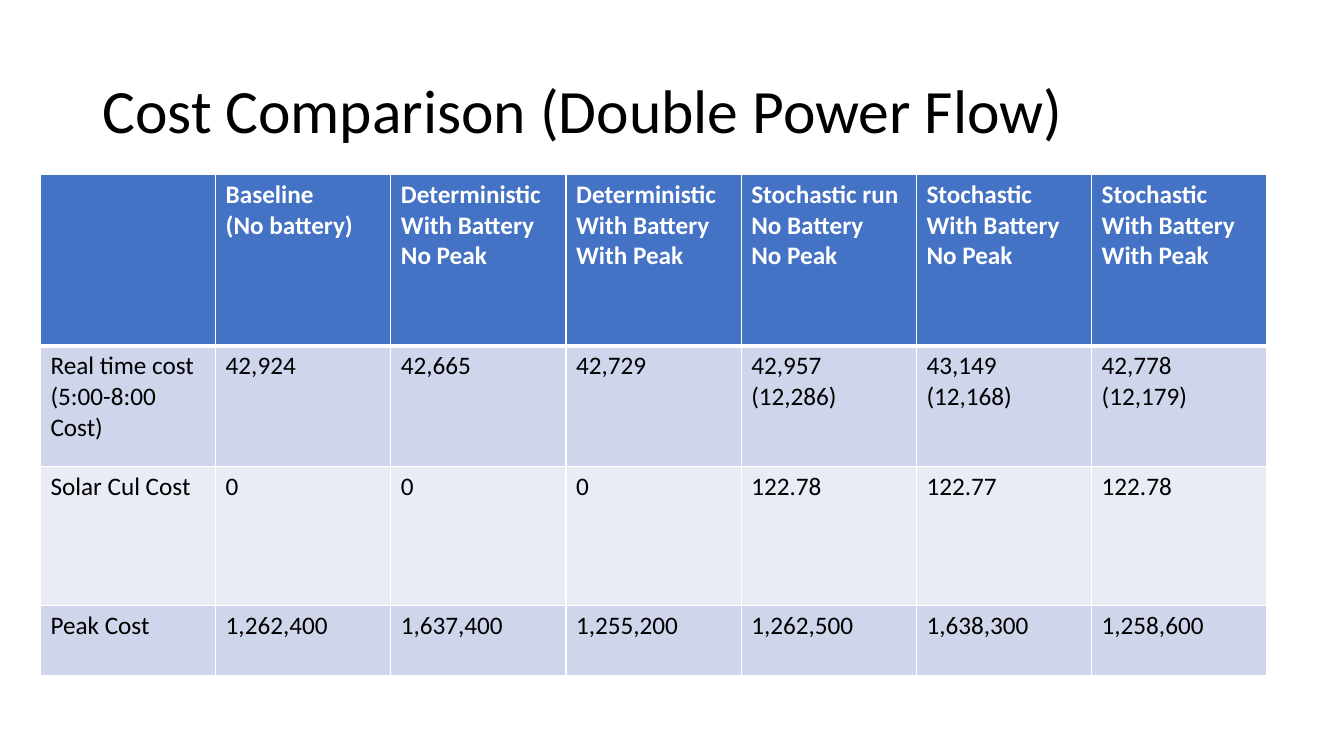
from lxml import etree
from pptx import Presentation
from pptx.dml.color import RGBColor
from pptx.enum.text import MSO_ANCHOR
from pptx.oxml.ns import qn
from pptx.util import Cm, Pt

MIDDLE = MSO_ANCHOR.MIDDLE
FONT = "Calibri"
BLACK, WHITE = "000000", "FFFFFF"
HEADER_FILL = "4472C4"
BAND_FILLS = ("CFD5EA", "E9EBF5")

TITLE = "Cost Comparison (Double Power Flow)"
COST_ROWS = [
    ["", "Baseline \n(No battery)", "Deterministic \nWith Battery\nNo Peak",
     "Deterministic \nWith Battery\nWith Peak", "Stochastic run \nNo Battery\nNo Peak",
     "Stochastic With Battery\nNo Peak", "Stochastic \nWith Battery\nWith Peak"],
    ["Real time cost\n(5:00-8:00 Cost)", "42,924", "42,665", "42,729",
     "42,957\n(12,286)", "43,149\n(12,168)", "42,778\n(12,179)"],
    ["Solar Cul Cost", "0", "0", "0", "122.78", "122.77", "122.78"],
    ["Peak Cost", "1,262,400", "1,637,400", "1,255,200",
     "1,262,500", "1,638,300", "1,258,600"],
]
ROW_HEIGHTS = (4.32, 3.04, 3.51, 1.76)
TABLE_LEFT, TABLE_TOP, TABLE_WIDTH = 1.02, 4.39, 30.91


def color(value):
    return RGBColor.from_string(value)


def write_text(frame, text, size=18, ink=BLACK, bold=False, line_spacing=None):
    frame.word_wrap = True
    for index, line in enumerate(text.split("\n")):
        paragraph = frame.add_paragraph() if index else frame.paragraphs[0]
        paragraph.line_spacing = line_spacing
        run = paragraph.add_run()
        run.text = line
        run.font.name = FONT
        run.font.size = Pt(size)
        run.font.bold = bold
        run.font.color.rgb = color(ink)


def set_borders(cell, **widths):
    properties = cell._tc.get_or_add_tcPr()
    for index, (side, width) in enumerate(widths.items()):
        line = etree.Element(qn(f"a:ln{side}"), w=str(Pt(width)))
        fill = etree.SubElement(line, qn("a:solidFill"))
        etree.SubElement(fill, qn("a:srgbClr"), val=WHITE)
        properties.insert(index, line)


presentation = Presentation()
presentation.slide_width, presentation.slide_height = Cm(33.87), Cm(19.05)
slide = presentation.slides.add_slide(presentation.slide_layouts[6])

title = slide.shapes.add_textbox(Cm(2.33), Cm(1.01), Cm(29.21), Cm(3.68))
title.text_frame.vertical_anchor = MIDDLE
write_text(title.text_frame, TITLE, size=44, line_spacing=0.9)

column_count = len(COST_ROWS[0])
cost_table = slide.shapes.add_table(
    len(COST_ROWS), column_count, Cm(TABLE_LEFT), Cm(TABLE_TOP),
    Cm(TABLE_WIDTH), Cm(sum(ROW_HEIGHTS))).table
for column in cost_table.columns:
    column.width = Cm(TABLE_WIDTH / column_count)

for row_index, values in enumerate(COST_ROWS):
    cost_table.rows[row_index].height = Cm(ROW_HEIGHTS[row_index])
    header = row_index == 0
    cell_fill = HEADER_FILL if header else BAND_FILLS[(row_index - 1) % 2]
    for column_index, value in enumerate(values):
        cell = cost_table.cell(row_index, column_index)
        cell.fill.solid()
        cell.fill.fore_color.rgb = color(cell_fill)
        set_borders(cell, L=1, R=1, T=3 if row_index == 1 else 1, B=3 if header else 1)
        if value:
            write_text(cell.text_frame, value, ink=WHITE if header else BLACK, bold=header)

presentation.save("out.pptx")
